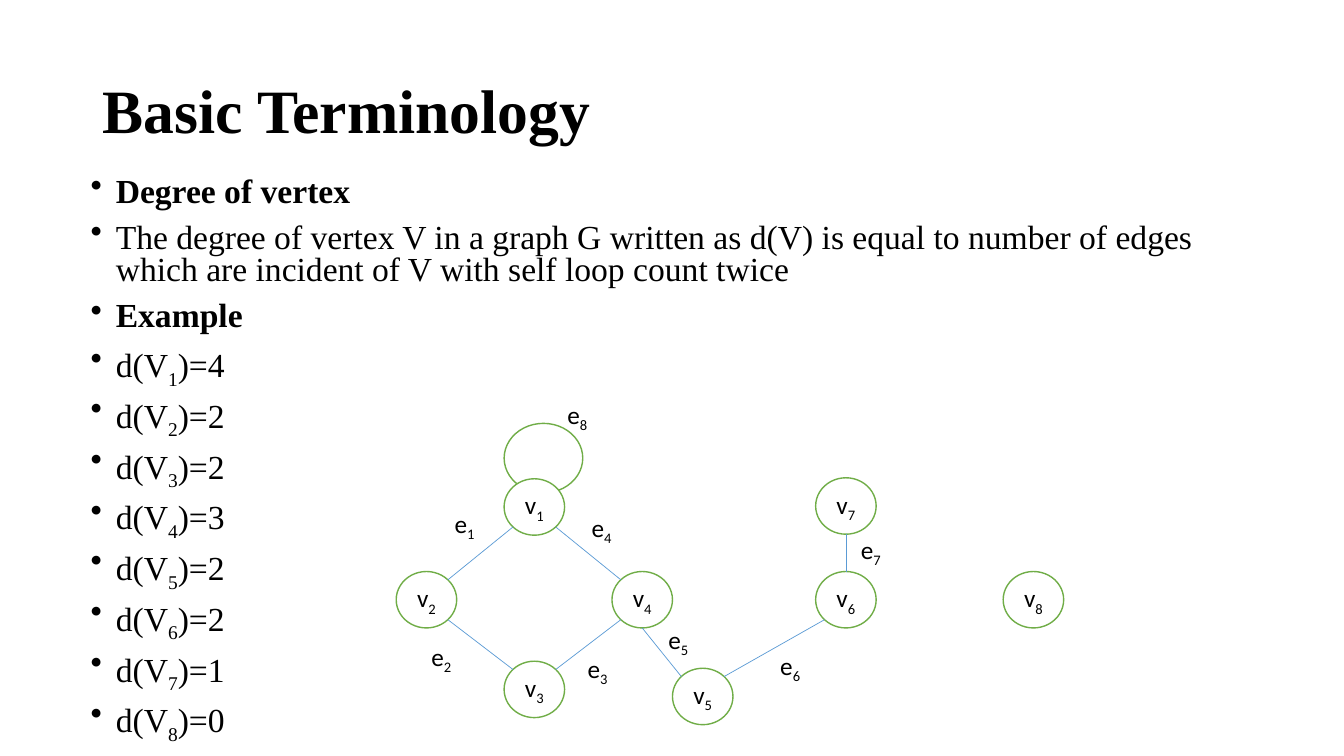
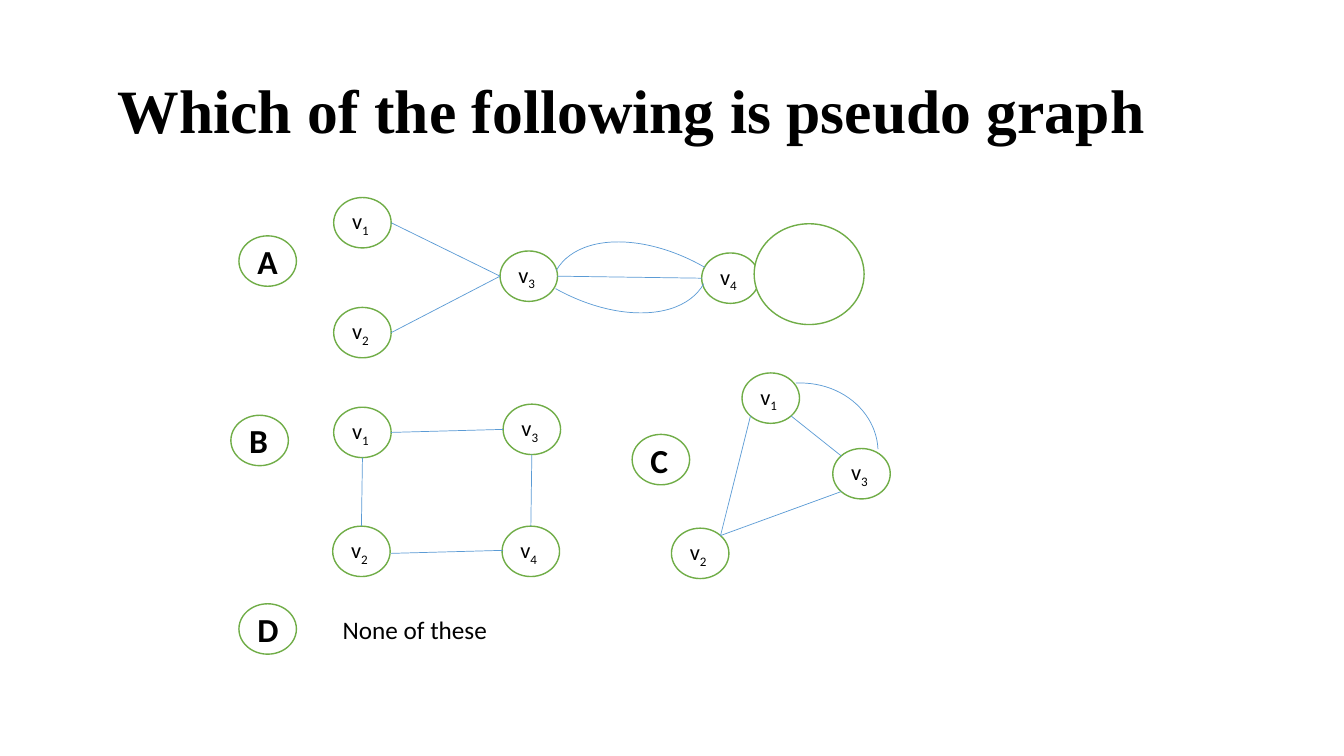
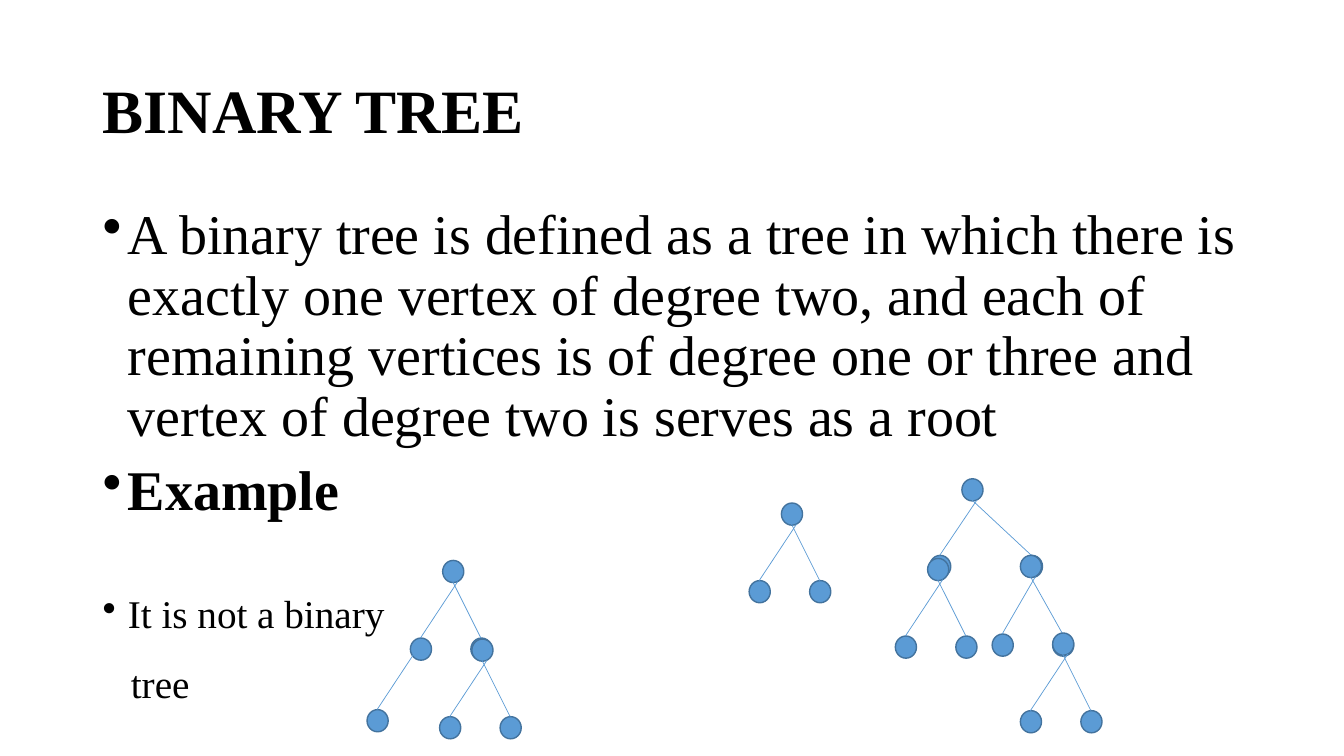
from dataclasses import dataclass
from math import sqrt

from lxml.etree import SubElement
from pptx import Presentation
from pptx.dml.color import RGBColor
from pptx.enum.shapes import MSO_CONNECTOR, MSO_SHAPE
from pptx.enum.text import MSO_ANCHOR, MSO_AUTO_SIZE, PP_ALIGN
from pptx.oxml.ns import qn
from pptx.util import Inches, Pt

# Shared look
BLACK, WHITE = "000000", "FFFFFF"
GREEN, BLUE, NAVY = "70AD47", "5B9BD5", "43739E"
SERIF, SANS = "Times New Roman", "Calibri"
HALF = sqrt(0.5)
SITES = {
    "N": (0, -1), "S": (0, 1), "E": (1, 0), "W": (-1, 0),
    "NE": (HALF, -HALF), "NW": (-HALF, -HALF),
    "SE": (HALF, HALF), "SW": (-HALF, HALF),
}


@dataclass
class Node:
    name: str
    x: float
    y: float
    w: float = 0.57
    h: float = 0.5

    def site(self, side):
        dx, dy = SITES[side]
        return self.x + self.w * (1 + dx) / 2, self.y + self.h * (1 + dy) / 2


@dataclass
class Edge:
    start: str
    out: str
    end: str
    into: str


@dataclass
class Arc:
    x: float
    y: float
    w: float
    h: float
    turn: float


@dataclass
class Fork:
    x: float
    y: float
    right: float = 0.28
    left: float = -0.32
    drop: float = 0.77


@dataclass
class Item:
    text: str
    size: float = 24
    bold: bool = False
    before: float = 10
    bullet: bool = True
    indent: float = 0.25


def color(code: str) -> RGBColor:
    return RGBColor.from_string(code)


# Text: "_" lowers the one character that follows it
def write(para, text: str, *, size=18, font=SANS, bold=False, align=None,
          spacing=None, before=None, bullet=False, indent=0) -> None:
    props = para._p.get_or_add_pPr()
    if indent:
        props.set("marL", str(Inches(indent)))
    if bullet:
        props.set("indent", str(-Inches(indent)))
        SubElement(props, qn("a:buChar")).set("char", "•")
    para.alignment = align
    para.line_spacing = spacing
    if before is not None:
        para.space_before = Pt(before)
    head, _, tail = text.partition("_")
    for part, low in ((head, False), (tail[:1], True), (tail[1:], False)):
        if not part:
            continue
        run = para.add_run()
        run.text = part
        run.font.size, run.font.name, run.font.bold = Pt(size), font, bold
        run.font.color.rgb = color(BLACK)
        if low:
            run._r.get_or_add_rPr().set("baseline", "-25000")


def box(slide, x: float, y: float, w: float, h: float, wrap=True):
    frame = slide.shapes.add_textbox(
        Inches(x), Inches(y), Inches(w), Inches(h)).text_frame
    frame.word_wrap = wrap
    return frame


def title(slide, text: str, indent=0.0) -> None:
    frame = box(slide, 0.92, 0.4, 11.5, 1.45)
    frame.vertical_anchor = MSO_ANCHOR.MIDDLE
    write(frame.paragraphs[0], text, size=44, font=SERIF, bold=True,
          spacing=0.9, indent=indent)


def body(slide, x: float, y: float, h: float, items: list[Item],
         spacing: float) -> None:
    frame = box(slide, x, y, 11.5, h)
    for i, item in enumerate(items):
        para = frame.add_paragraph() if i else frame.paragraphs[0]
        write(para, item.text, size=item.size, font=SERIF, bold=item.bold,
              spacing=spacing, before=item.before if i else 0,
              bullet=item.bullet, indent=item.indent)


def label(slide, text: str, x: float, y: float, w=0.47, wrap=True) -> None:
    frame = box(slide, x, y, w, 0.4, wrap)
    frame.auto_size = MSO_AUTO_SIZE.SHAPE_TO_FIT_TEXT
    write(frame.paragraphs[0], text)


# Shapes and lines
def shape(slide, kind, x: float, y: float, w: float, h: float,
          fill=WHITE, line=GREEN, width=1.0):
    item = slide.shapes.add_shape(
        kind, Inches(x), Inches(y), Inches(w), Inches(h))
    item.shadow.inherit = False
    if fill:
        item.fill.solid()
        item.fill.fore_color.rgb = color(fill)
    else:
        item.fill.background()
    item.line.color.rgb = color(line)
    item.line.width = Pt(width)
    return item


def link(slide, start, end) -> None:
    ends = [Inches(v) for v in (*start, *end)]
    item = slide.shapes.add_connector(MSO_CONNECTOR.STRAIGHT, *ends)
    item.line.color.rgb = color(BLUE)
    item.line.width = Pt(0.5)
    SubElement(item._element.spPr, qn("a:effectLst"))


def graph(slide, nodes: list[Node], edges: list[Edge],
          kind=MSO_SHAPE.OVAL, **style) -> None:
    for node in nodes:
        frame = shape(slide, kind, node.x, node.y, node.w, node.h).text_frame
        frame.vertical_anchor = MSO_ANCHOR.MIDDLE
        frame.word_wrap = True
        write(frame.paragraphs[0], node.name, **style)
    spots = {node.name: node for node in nodes}
    for edge in edges:
        link(slide, spots[edge.start].site(edge.out),
             spots[edge.end].site(edge.into))


def dot(slide, x: float, y: float) -> None:
    shape(slide, MSO_SHAPE.FLOWCHART_CONNECTOR, x, y, 0.21, 0.22, BLUE, NAVY)


def branch(slide, x: float, y: float, gap: float, dx: float,
           drop: float) -> None:
    dot(slide, x + dx, y + drop)
    link(slide, (x + gap, y + 0.21), (x + dx + 0.1, y + drop))


def fork(slide, f: Fork) -> None:
    dot(slide, f.x, f.y)
    branch(slide, f.x, f.y, 0.1, f.right, f.drop)
    branch(slide, f.x, f.y, 0.15, f.left, f.drop)


# Slide 1: degree of a vertex
def degrees(slide) -> None:
    shape(slide, MSO_SHAPE.FLOWCHART_CONNECTOR, 5, 4.2, 0.78, 0.69)
    title(slide, "Basic Terminology")
    items = [
        Item("Degree of vertex", bold=True),
        Item("The degree of vertex V in a graph G written as d(V) is equal to "
             "number of edges which are incident of V with self loop count "
             "twice"),
        Item("Example", bold=True),
    ]
    items += [Item(f"d(V_{i})={d}")
              for i, d in enumerate((4, 2, 2, 3, 2, 2, 1, 0), 1)]
    body(slide, 0.8, 1.71, 5.63, items, 0.8)

    spots = [(5, 4.75), (3.93, 5.67), (5, 6.56), (6.07, 5.67),
             (6.67, 6.63), (8.09, 5.67), (8.09, 4.74), (9.95, 5.67)]
    nodes = [Node(f"v_{i}", x, y, 0.6, 0.56)
             for i, (x, y) in enumerate(spots, 1)]
    edges = [
        Edge("v_1", "SW", "v_2", "NE"), Edge("v_2", "SE", "v_3", "NW"),
        Edge("v_1", "SE", "v_4", "NW"), Edge("v_3", "NE", "v_4", "SW"),
        Edge("v_4", "S", "v_5", "NW"), Edge("v_5", "NE", "v_6", "SW"),
        Edge("v_6", "N", "v_7", "S"),
    ]
    graph(slide, nodes, edges, MSO_SHAPE.FLOWCHART_CONNECTOR,
          align=PP_ALIGN.CENTER)
    tags = [(4.41, 4.99), (4.18, 6.31), (5.73, 6.43), (5.77, 5.03),
            (6.53, 6.14), (7.64, 6.4), (8.44, 5.25), (5.53, 3.91)]
    for i, (x, y) in enumerate(tags, 1):
        label(slide, f"e_{i}", x, y)


# Slide 2: pseudo graph question
def quiz(slide) -> None:
    title(slide, "Which of the following is pseudo graph", indent=0.15)
    # Choice A
    graph(slide, [Node("v_1", 3.31, 1.96), Node("v_2", 3.31, 3.05),
                  Node("v_3", 4.96, 2.49), Node("v_4", 6.96, 2.51)],
          [Edge("v_2", "E", "v_3", "W"), Edge("v_1", "E", "v_3", "W"),
           Edge("v_3", "E", "v_4", "W")], size=16)
    shape(slide, MSO_SHAPE.OVAL, 7.48, 2.22, 1.09, 1)
    # Choice B
    graph(slide, [Node("v_1", 3.31, 4.04), Node("v_2", 3.3, 5.22),
                  Node("v_4", 4.98, 5.22), Node("v_3", 4.99, 4.01)],
          [Edge("v_1", "E", "v_3", "W"), Edge("v_2", "N", "v_1", "S"),
           Edge("v_4", "N", "v_3", "S")], size=16)
    link(slide, (3.88, 5.49), (4.99, 5.46))
    # Choice C
    graph(slide, [Node("v_2", 6.66, 5.24), Node("v_1", 7.36, 3.7),
                  Node("v_3", 8.26, 4.45)],
          [Edge("v_2", "NE", "v_1", "SW"), Edge("v_2", "NE", "v_3", "SW"),
           Edge("v_3", "NW", "v_1", "SE")], size=16)
    # Curved edges
    for arc in (Arc(5.85, 2.05, 1.52, 2.52, 299.9),
                Arc(5.12, 0.94, 1.52, 2.52, 119.2),
                Arc(7.15, 3.8, 1.56, 1.39, 357.1)):
        curve = shape(slide, MSO_SHAPE.ARC, arc.x, arc.y, arc.w, arc.h,
                      None, BLUE, 0.5)
        curve.rotation = arc.turn
    # Choice letters
    graph(slide, [Node("A", 2.37, 2.34), Node("B", 2.29, 4.12),
                  Node("D", 2.37, 5.99), Node("C", 6.27, 4.31)], [],
          size=24, bold=True)
    label(slide, "None of these", 3.3, 6.05, 1.65, wrap=False)


# Slide 3: binary trees
def trees(slide) -> None:
    title(slide, "BINARY TREE")
    body(slide, 0.92, 2, 5.5, [
        Item("A binary tree is defined as a tree in which there is exactly "
             "one vertex of degree two, and each of remaining vertices is of "
             "degree one or three and vertex of degree two is serves as a "
             "root", 40),
        Item("Example", 40, bold=True),
        Item("It is not a binary", 28, before=51),
        Item("tree", 28, before=20, bullet=False, indent=0.28),
    ], 0.9)
    for f in (Fork(7.75, 4.99),
              Fork(9.54, 4.75, right=0.59, drop=0.76),
              Fork(9.2, 5.54),
              Fork(10.12, 5.51, right=0.32, left=-0.28, drop=0.78),
              Fork(10.44, 6.28),
              Fork(4.39, 5.56),
              Fork(4.68, 6.34)):
        fork(slide, f)
    branch(slide, 3.96, 6.27, 0.15, -0.32, 0.77)


def main() -> None:
    deck = Presentation()
    deck.slide_width, deck.slide_height = Inches(13.33), Inches(7.5)
    for draw in (degrees, quiz, trees):
        draw(deck.slides.add_slide(deck.slide_layouts[6]))
    deck.save("out.pptx")


if __name__ == "__main__":
    main()
